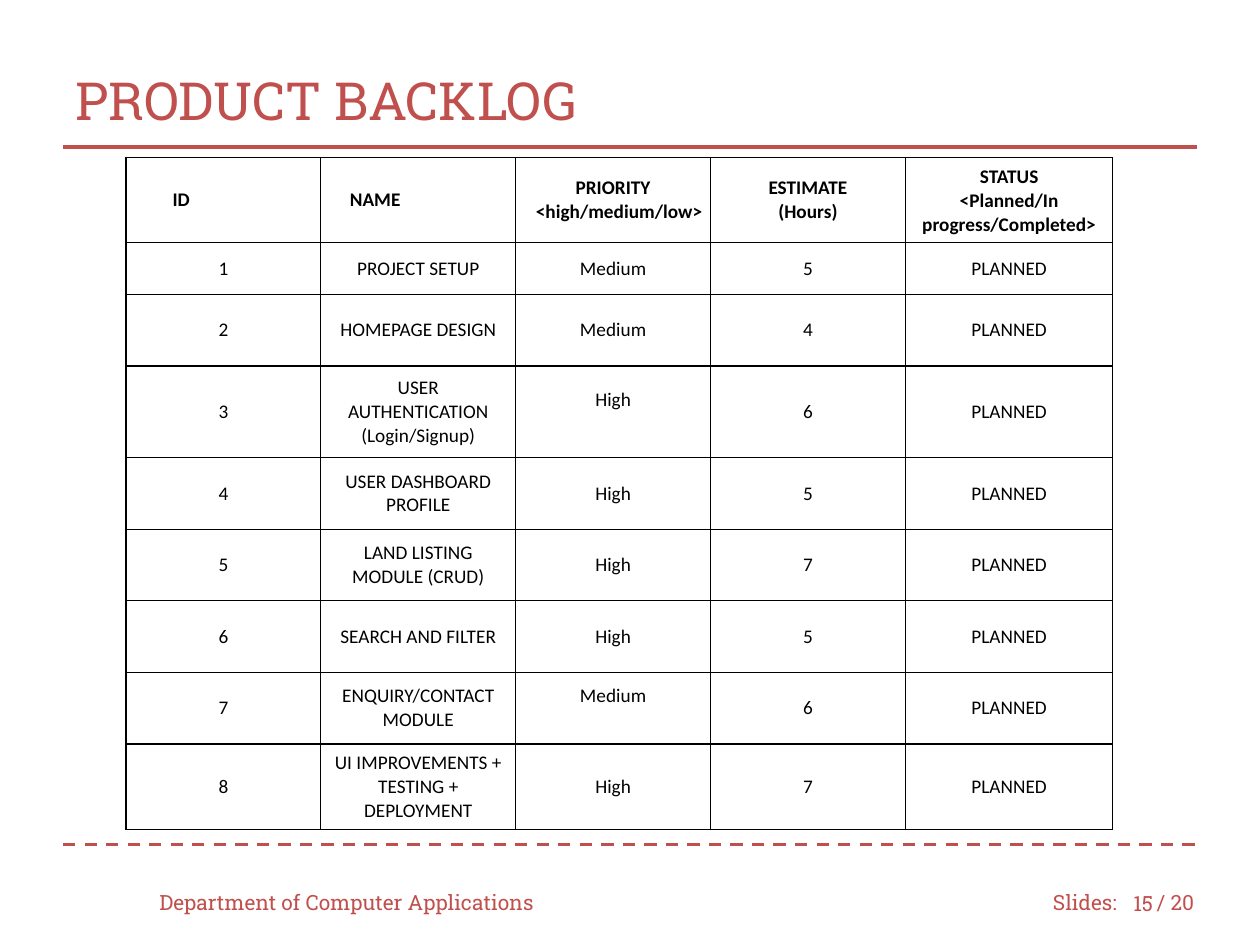
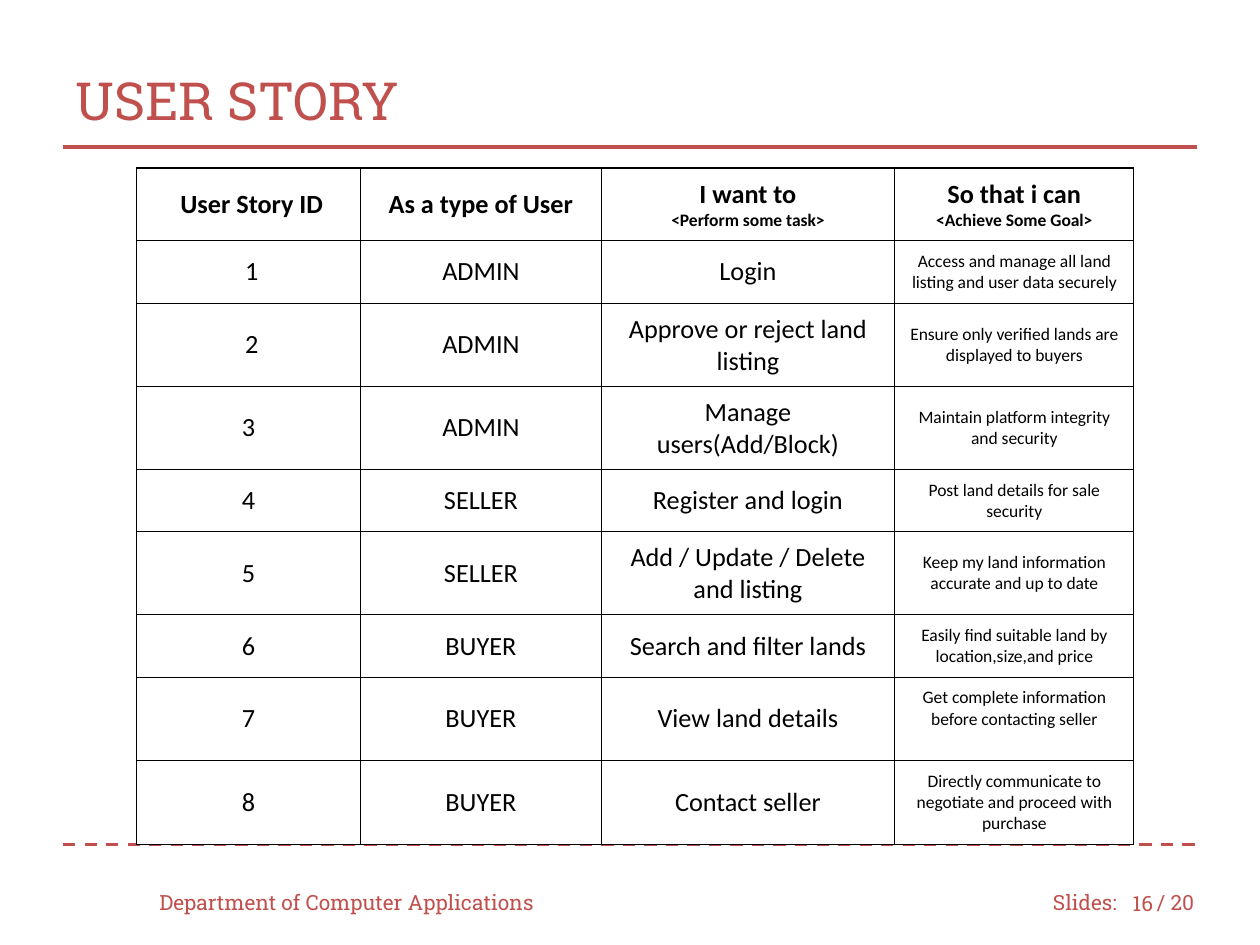
from itertools import product
from lxml.etree import SubElement
from pptx import Presentation
from pptx.dml.color import RGBColor
from pptx.enum.dml import MSO_LINE
from pptx.enum.shapes import MSO_CONNECTOR
from pptx.enum.text import MSO_ANCHOR, PP_ALIGN
from pptx.oxml.ns import qn
from pptx.util import Inches, Pt

# The slide is a grid of 120 columns by 90 rows, each unit 1/12 inch.
COLUMNS, ROWS = 120, 90
UNIT = Inches(10) // COLUMNS
ACCENT, BLACK, WHITE = "C0504D", "000000", "FFFFFF"
HEADING_FONT, TABLE_FONT = "Roboto Slab", "Calibri"
MARGIN = 6
TITLE_BOX = (MARGIN, 4, COLUMNS - 2 * MARGIN, 11)
FOOTER_BOX = (14, 83.5, 102, 4.8)
TITLE_RULE, FOOTER_RULE = 14, 80.4
SLIDE_TOTAL = 20

BACKLOG_HEADER = ["ID", "NAME", "PRIORITY\n<high/medium/low>", "ESTIMATE\n(Hours)",
                  "STATUS\n<Planned/In progress/Completed>"]
BACKLOG_ITEMS = [
    ("PROJECT SETUP", "Medium", 5),
    ("HOMEPAGE DESIGN", "Medium", 4),
    ("USER AUTHENTICATION (Login/Signup)", "High", 6),
    ("USER DASHBOARD PROFILE", "High", 5),
    ("LAND LISTING MODULE (CRUD)", "High", 7),
    ("SEARCH AND FILTER", "High", 5),
    ("ENQUIRY/CONTACT MODULE", "Medium", 6),
    ("UI IMPROVEMENTS + TESTING + DEPLOYMENT", "High", 7),
]
STORY_HEADER = ["User Story ID", "As a type of User", "I want to\n<Perform some task>",
                "So that i can\n<Achieve Some Goal>"]
STORIES = [
    ("ADMIN", "Login", "Access and manage all land listing and user data securely"),
    ("ADMIN", "Approve or reject land listing",
     "Ensure only verified lands are displayed to buyers"),
    ("ADMIN", "Manage users(Add/Block)", "Maintain platform integrity and security"),
    ("SELLER", "Register and login", "Post land details for sale security"),
    ("SELLER", "Add / Update / Delete and listing",
     "Keep my land information accurate and up to date"),
    ("BUYER", "Search and filter lands",
     "Easily find suitable land by location,size,and price"),
    ("BUYER", "View land details", "Get complete information before contacting seller"),
    ("BUYER", "Contact seller",
     "Directly communicate to negotiate and proceed with purchase"),
]


def color(hex_string):
    return RGBColor.from_string(hex_string)


def grid(*units):
    return [round(unit * UNIT) for unit in units]


def style_paragraph(paragraph, font, size, hex_string, bold=False, align=PP_ALIGN.LEFT):
    paragraph.font.name = font
    paragraph.font.size = Pt(size)
    paragraph.font.bold = bold
    paragraph.font.color.rgb = color(hex_string)
    paragraph.alignment = align


def add_label(slide, box, text, size=12, align=PP_ALIGN.LEFT):
    frame = slide.shapes.add_textbox(*grid(*box)).text_frame
    frame.word_wrap = True
    frame.vertical_anchor = MSO_ANCHOR.MIDDLE
    frame.text = text
    style_paragraph(frame.paragraphs[0], HEADING_FONT, size, ACCENT, align=align)


def add_rule(slide, row, dash=None):
    line = slide.shapes.add_connector(
        MSO_CONNECTOR.STRAIGHT, *grid(MARGIN, row, COLUMNS - MARGIN, row))
    line.line.color.rgb = color(ACCENT)
    line.line.width = Pt(1.75)
    if dash:
        line.line.dash_style = dash
    SubElement(line._element.spPr, qn("a:effectLst"))


def add_footer(slide, box, number):
    left, top, width, height = box
    right = left + width
    add_label(slide, (left, top, 40, height), "Department of Computer Applications")
    add_label(slide, (right - 16.9, top, 9, height), "Slides:")
    add_label(slide, (right - 10, top + 0.1, 5, height), str(number), align=PP_ALIGN.RIGHT)
    add_label(slide, (right - 7, top, 7, height), f"/ {SLIDE_TOTAL}")


def add_framed_slide(presentation, title, number):
    slide = presentation.slides.add_slide(presentation.slide_layouts[6])
    add_label(slide, TITLE_BOX, title, size=30)
    add_rule(slide, TITLE_RULE)
    add_rule(slide, FOOTER_RULE, MSO_LINE.DASH)
    add_footer(slide, FOOTER_BOX, number)
    return slide


def add_borders(cell):
    properties = cell._tc.get_or_add_tcPr()
    for index, side in enumerate(("lnL", "lnR", "lnT", "lnB")):
        border = properties.makeelement(qn(f"a:{side}"), {"w": str(Pt(0.75))})
        fill = SubElement(border, qn("a:solidFill"))
        SubElement(fill, qn("a:srgbClr"), val=BLACK)
        properties.insert(index, border)


def add_grid_table(slide, box, widths, heights, rows, inset, size_of):
    """Fill box with a ruled table; widths and heights are relative weights."""
    table = slide.shapes.add_table(len(rows), len(widths), *grid(*box)).table
    table.first_row = table.horz_banding = False
    for lines, weights, extent, length in (
            (table.columns, widths, "width", box[2]), (table.rows, heights, "height", box[3])):
        for line, weight in zip(lines, weights):
            setattr(line, extent, grid(length * weight / sum(weights))[0])
    for row, column in product(range(len(rows)), range(len(widths))):
        cell = table.cell(row, column)
        cell.fill.solid()
        cell.fill.fore_color.rgb = color(WHITE)
        add_borders(cell)
        cell.vertical_anchor = MSO_ANCHOR.MIDDLE
        cell.margin_left = cell.margin_right = Inches(inset)
        cell.margin_top = cell.margin_bottom = Inches(inset)
        cell.text = str(rows[row][column])
        for position, paragraph in enumerate(cell.text_frame.paragraphs):
            style_paragraph(paragraph, TABLE_FONT, size_of(row, column, position), BLACK,
                            bold=row == 0, align=PP_ALIGN.CENTER)
    return table


def indent(paragraph, inches):
    paragraph.alignment = PP_ALIGN.LEFT
    paragraph._p.get_or_add_pPr().set("marL", str(Inches(inches)))


def build_backlog(presentation):
    slide = add_framed_slide(presentation, "PRODUCT BACKLOG", 15)
    rows = [BACKLOG_HEADER] + [
        (item_id, *item, "PLANNED") for item_id, item in enumerate(BACKLOG_ITEMS, 1)]
    heights = [0.68, 0.41, 0.57, 0.73, 0.57, 0.57, 0.57, 0.57, 0.68]
    table = add_grid_table(slide, (12, 15, 94, 64), [1.55] * 4 + [1.65], heights, rows,
                           0.06, lambda row, column, position: 11)
    for column, position, inches in ((0, 0, 0.31), (1, 0, 0.17), (2, 1, 0.1)):
        indent(table.cell(0, column).text_frame.paragraphs[position], inches)
    for raised_row in (3, 7):
        table.cell(raised_row, 2).margin_bottom = Inches(0.25)


def build_user_stories(presentation):
    slide = add_framed_slide(presentation, "USER STORY", 16)
    rows = [STORY_HEADER] + [
        (story_id, *story) for story_id, story in enumerate(STORIES, 1)]
    short, tall = 0.49, 0.66
    heights = [0.58, short, tall, tall, short, tall, short, tall, tall]

    def size_of(row, column, position):
        is_goal = row > 0 and column == 3
        return 10 if is_goal or position > 0 else 15

    table = add_grid_table(slide, (13, 16, 95, 64), [1.78, 1.91, 2.33, 1.9], heights, rows,
                           0.08, size_of)
    for shifted_row in range(3):
        table.cell(shifted_row, 0).margin_left = Inches(0.13)
    table.cell(7, 3).margin_bottom = Inches(0.25)


def main():
    presentation = Presentation()
    presentation.slide_width, presentation.slide_height = grid(COLUMNS, ROWS)
    build_backlog(presentation)
    build_user_stories(presentation)
    presentation.save("out.pptx")


if __name__ == "__main__":
    main()
